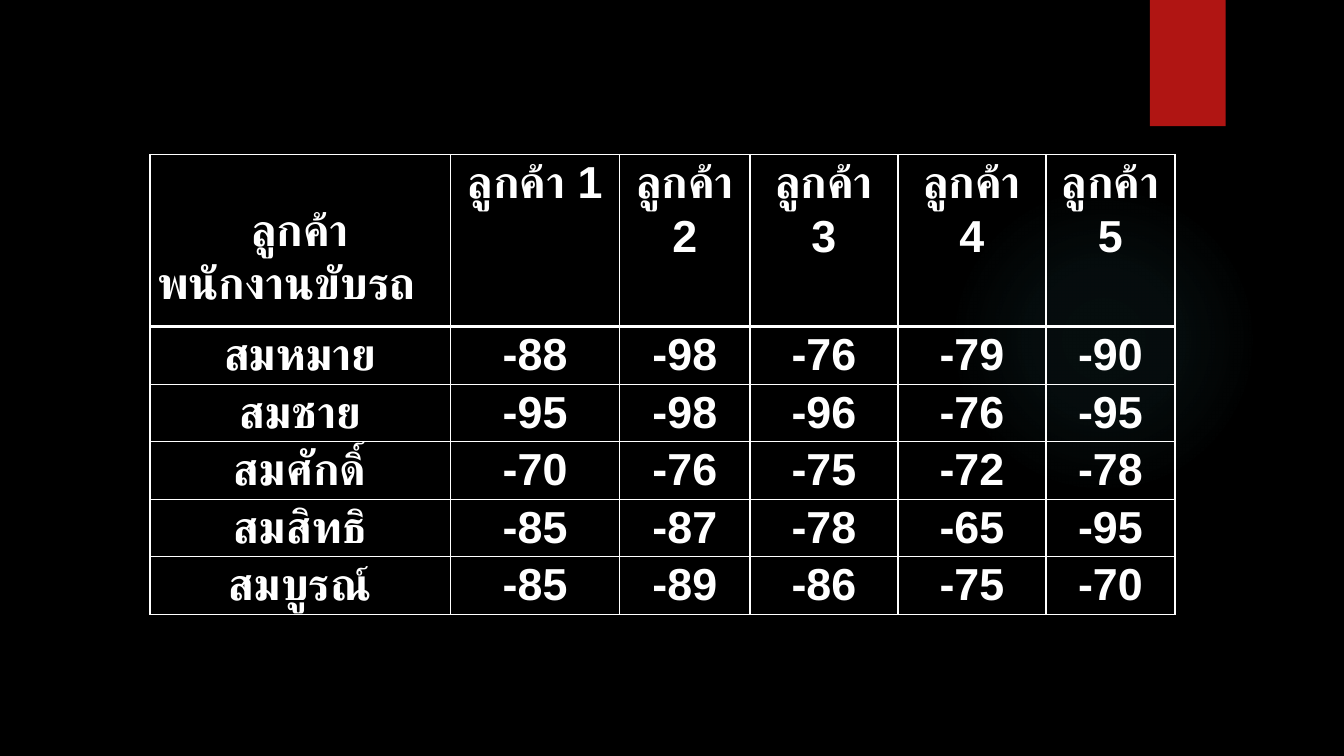
from lxml import etree
from pptx import Presentation
from pptx.dml.color import RGBColor
from pptx.enum.shapes import MSO_SHAPE
from pptx.enum.text import PP_ALIGN
from pptx.oxml import parse_xml
from pptx.oxml.ns import qn
from pptx.util import Cm, Pt

RECT, OVAL = MSO_SHAPE.RECTANGLE, MSO_SHAPE.OVAL
LEFT, CENTER = PP_ALIGN.LEFT, PP_ALIGN.CENTER
NS = "http://schemas.openxmlformats.org/drawingml/2006/main"

CORNER = "ลูกค้า\nพนักงานขับรถ"
CUSTOMERS = [f"ลูกค้า {n}" for n in range(1, 6)]
DRIVERS = {
    "สมหมาย": (-88, -98, -76, -79, -90),
    "สมชาย": (-95, -98, -96, -76, -95),
    "สมศักดิ์": (-70, -76, -75, -72, -78),
    "สมสิทธิ": (-85, -87, -78, -65, -95),
    "สมบูรณ์": (-85, -89, -86, -75, -70),
}
COL_WIDTHS = (7.57, 4.27, 3.28, 3.73, 3.73, 3.25)
HEADER_HEIGHT, ROW_HEIGHT = 4.34, 1.45
TABLE_LEFT, TABLE_TOP = 3.78, 3.89
CORNER_DROP = 1.2
TEXT = {"name": "Arial", "size": Pt(32), "bold": True}
MARGINS = {"margin_left": Cm(0.18), "margin_right": Cm(0.18),
           "margin_top": 0, "margin_bottom": 0}
GLOW_STOPS = ((0, 7), (36, 6), (69, 0))
BLACK, WHITE, RED, TEAL = "000000", "FFFFFF", "B01513", "50B9C1"


def color(fmt, value):
    fmt.rgb = RGBColor.from_string(value)


def fill(fmt, value):
    fmt.solid()
    color(fmt.fore_color, value)


def set_all(obj, values):
    for name, value in values.items():
        setattr(obj, name, value)


def add_shape(s, kind, left, top, width, height, value):
    sp = s.shapes.add_shape(kind, Cm(left), Cm(top), Cm(width), Cm(height))
    sp.shadow.inherit = False
    sp.line.fill.background()
    fill(sp.fill, value)
    return sp


def add_glow(sp):
    stops = "".join(
        f'<a:gs pos="{pos * 1000}"><a:srgbClr val="{TEAL}">'
        f'<a:alpha val="{alpha * 1000}"/></a:srgbClr></a:gs>'
        for pos, alpha in GLOW_STOPS)
    grad = parse_xml(
        f'<a:gradFill xmlns:a="{NS}"><a:gsLst>{stops}</a:gsLst><a:path path="circle">'
        '<a:fillToRect l="50000" t="50000" r="50000" b="50000"/></a:path></a:gradFill>')
    spPr = sp.fill._xPr
    spPr.replace(spPr.find(qn("a:solidFill")), grad)


def add_borders(cell, top, bottom):
    tcPr = cell._tc.get_or_add_tcPr()
    for side, width in (("L", 1), ("R", 1), ("T", top), ("B", bottom)):
        ln = etree.SubElement(tcPr, qn(f"a:ln{side}"), w=str(Pt(width)))
        solid = etree.SubElement(ln, qn("a:solidFill"))
        etree.SubElement(solid, qn("a:srgbClr"), val=WHITE)


def write(cell, text):
    set_all(cell, MARGINS)
    tf = cell.text_frame
    for i, line in enumerate(text.split("\n")):
        p = tf.paragraphs[0] if i == 0 else tf.add_paragraph()
        set_all(p, {"alignment": LEFT if i else CENTER, "line_spacing": 1.07})
        r = p.add_run()
        r.text = line
        set_all(r.font, TEXT)
        color(r.font.color, WHITE)
        etree.SubElement(r.font._element, qn("a:cs"), typeface=TEXT["name"])


def add_score_table(s):
    rows = [[CORNER, *CUSTOMERS]] + [[name, *map(str, v)] for name, v in DRIVERS.items()]
    heights = [HEADER_HEIGHT] + [ROW_HEIGHT] * len(DRIVERS)
    table = s.shapes.add_table(len(rows), len(COL_WIDTHS), Cm(TABLE_LEFT), Cm(TABLE_TOP),
                               Cm(sum(COL_WIDTHS)), Cm(sum(heights))).table
    set_all(table, {"first_row": False, "horz_banding": False})
    for col, width in zip(table.columns, COL_WIDTHS):
        col.width = Cm(width)
    for i, (row, height) in enumerate(zip(rows, heights)):
        table.rows[i].height = Cm(height)
        for j, text in enumerate(row):
            cell = table.cell(i, j)
            write(cell, text)
            add_borders(cell, 3 if i == 1 else 1, 3 if i == 0 else 1)
            cell.fill.background()
    table.cell(0, 0).margin_top = Cm(CORNER_DROP)


def main():
    """Build the slide with the driver and customer table."""
    prs = Presentation()
    set_all(prs, {"slide_width": Cm(33.87), "slide_height": Cm(19.05)})
    s = prs.slides.add_slide(prs.slide_layouts[6])
    fill(s.background.fill, BLACK)
    add_glow(add_shape(s, OVAL, 23.9, 4.65, 7.82, 7.82, TEAL))
    add_shape(s, RECT, 28.98, 0, 1.91, 3.18, RED)
    add_score_table(s)
    prs.save("out.pptx")


if __name__ == "__main__":
    main()
